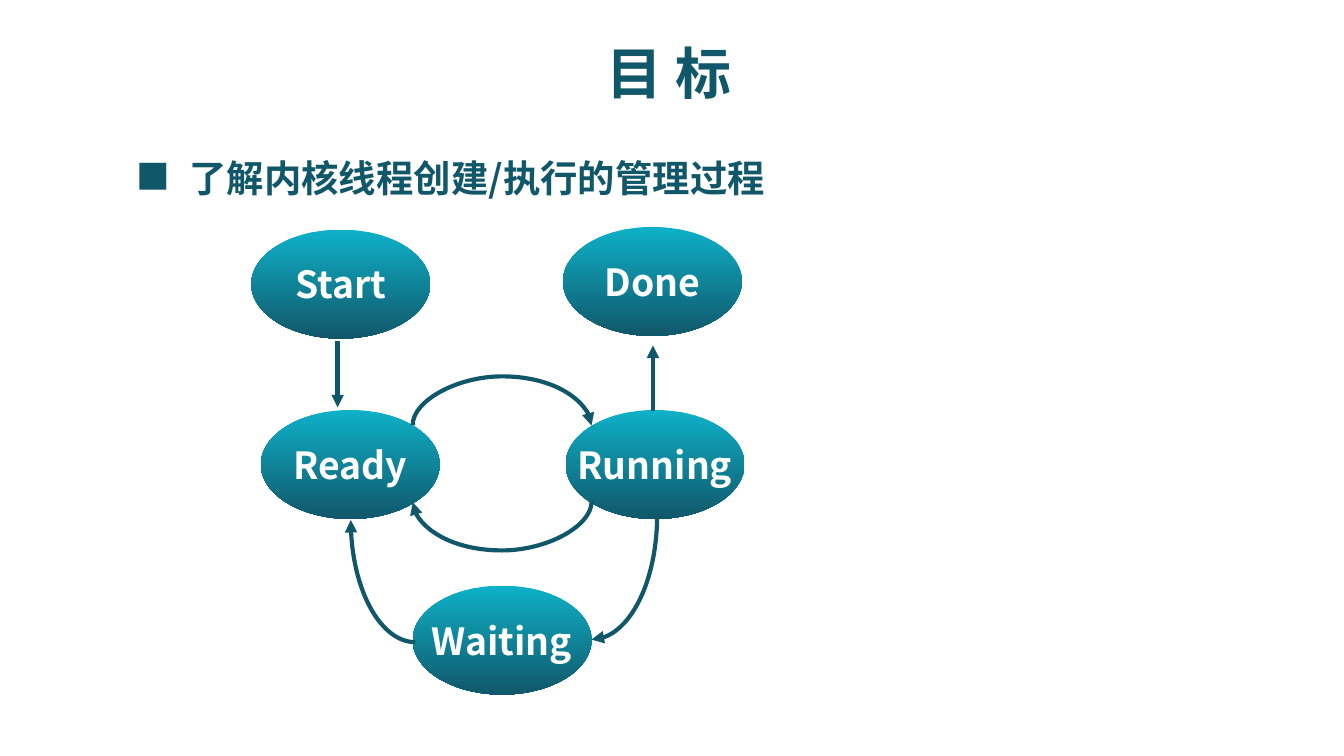
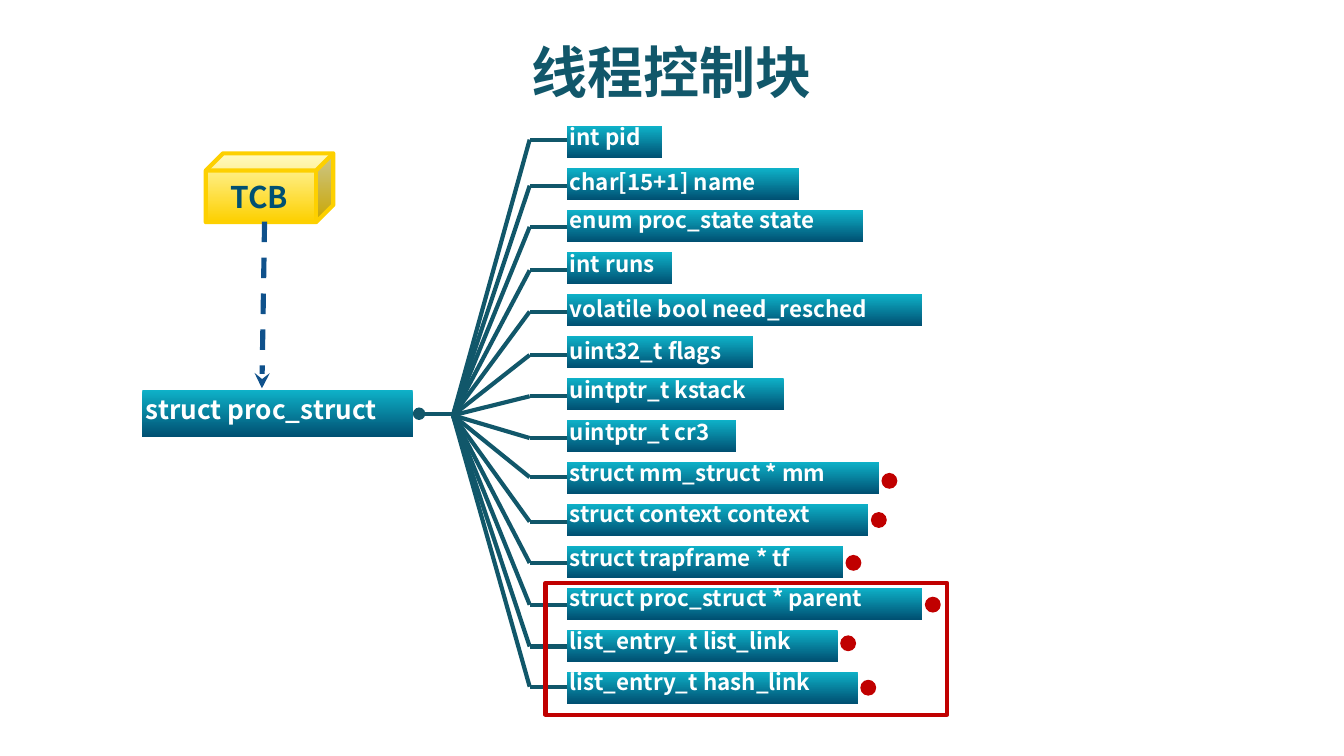
from math import cos, radians, sin

from lxml import etree
from pptx import Presentation
from pptx.dml.color import RGBColor
from pptx.enum.dml import MSO_LINE
from pptx.enum.shapes import MSO_CONNECTOR, MSO_SHAPE
from pptx.enum.text import MSO_ANCHOR, MSO_AUTO_SIZE, PP_ALIGN
from pptx.oxml.ns import qn
from pptx.util import Cm, Pt

STRAIGHT, CURVE = MSO_CONNECTOR.STRAIGHT, MSO_CONNECTOR.CURVE
OVAL, RECT, CUBE = MSO_SHAPE.OVAL, MSO_SHAPE.RECTANGLE, MSO_SHAPE.CUBE
LEFT, CENTER, MIDDLE = PP_ALIGN.LEFT, PP_ALIGN.CENTER, MSO_ANCHOR.MIDDLE
GROW, DASH = MSO_AUTO_SIZE.SHAPE_TO_FIT_TEXT, MSO_LINE.DASH

# Shared look; all lengths are in centimetres
FONT, SYMBOL_FONT = "Noto Sans CJK SC", "Noto Sans CJK JP"
TEAL, WHITE, RED, NAVY, BLUE, GOLD = (
    "11576A", "FFFFFF", "C00000", "005072", "0F518B", "FDD000")
NODE_FILL = ("0EB1C8", TEAL)
BAR_FILL = ("0EB1C8", NAVY)
CUBE_FILL = ("FFF9B1", GOLD)
LINE_PT = 2.25

# Slide 1: thread states
GOAL = "了解内核线程创建/执行的管理过程"
NODE_W, NODE_H = 3.38, 2.06
NODES = [
    ("Running", 10.69, 7.75),
    ("Ready", 4.93, 7.75),
    ("Waiting", 7.8, 11.07),
    ("Start", 4.75, 4.34),
    ("Done", 10.64, 4.29),
]
STATE_ARROWS = [
    ((6.38, 6.45), (6.38, 7.7)),
    ((12.34, 7.77), (12.34, 6.53)),
]
# centre, radii, first angle of each quarter turn
QUARTER_ARROWS = [
    ((11.18, 9.75), (1.24, 2.34), 0),
    ((7.85, 9.83), (1.22, 2.31), 90),
]
# centre x, y of both ends, opens upwards
LOOP_ARROWS = [(9.49, 8.04, True), (9.49, 9.49, False)]
LOOP_SPAN, LOOP_BULGE, LOOP_DEPTH = 3.38, 0.92, 0.01

# Slide 2: label, bar width, label width, label top, rail y, dot top
FIELDS = [
    ("int pid", 1.8, 2.03, 2.21, 2.64, None),
    ("char[15+1] name", 4.39, 4.6, 3.05, 3.51, None),
    ("enum proc_state state", 5.59, 5.79, 3.78, 4.29, None),
    ("int runs", 1.98, 2.34, 4.6, 5.11, None),
    ("volatile bool need_resched", 6.71, 6.81, 5.46, 5.89, None),
    ("uint32_t flags", 3.51, 3.73, 6.25, 6.71, None),
    ("uintptr_t kstack", 4.09, 4.27, 6.99, 7.49, None),
    ("uintptr_t cr3", 3.2, 3.45, 7.77, 8.28, None),
    ("struct mm_struct * mm", 5.89, 5.87, 8.56, 9.02, 8.94),
    ("struct context context", 5.69, 5.77, 9.32, 9.86, 9.68),
    ("struct trapframe * tf", 5.21, 5.28, 10.16, 10.64, 10.49),
    ("struct proc_struct * parent", 6.71, 6.76, 10.92, 11.43, 11.28),
    ("list_entry_t list_link", 5.11, 5.11, 11.73, 12.22, 12.01),
    ("list_entry_t hash_link", 5.49, 5.49, 12.5, 12.98, 12.85),
]
BAR_X, BAR_H, FIRST_BAR, LAST_BAR = 10.72, 0.6, 2.39, 12.7
LABEL_X, LABEL_H = 10.52, 0.79
RAIL_X = 10.01
HUB = (8.56, 7.85)
DOT, DOT_GAP = 0.3, 0.05


def rgb(color):
    return RGBColor.from_string(color)


def write(tf, text, size, color, font=FONT, align=LEFT, spacing=None):
    p = tf.paragraphs[0]
    p.alignment = align
    if spacing:
        p.line_spacing = spacing
    r = p.add_run()
    r.text = text
    for key, value in {"name": font, "size": Pt(size), "bold": True}.items():
        setattr(r.font, key, value)
    r.font.color.rgb = rgb(color)
    etree.SubElement(r._r.get_or_add_rPr(), qn("a:ea"), typeface=font)


def add_text(s, box, text, size, color, wrap=False, **style):
    tf = s.shapes.add_textbox(*map(Cm, box)).text_frame
    tf.word_wrap = wrap
    tf.auto_size = GROW
    write(tf, text, size, color, **style)


def add_title(s, box, text):
    add_text(s, box, text, 30, TEAL, wrap=True, align=CENTER)


def style_line(sp, color=TEAL, width=LINE_PT, head=None, tail=None):
    sp.line.color.rgb = rgb(color)
    sp.line.width = Pt(width)
    ln = sp.line._get_or_add_ln()
    for tag, kind in (("a:headEnd", head), ("a:tailEnd", tail)):
        if kind:
            etree.SubElement(ln, qn(tag), type=kind)


def add_shape(s, kind, box, fill=None, line=None):
    sp = s.shapes.add_shape(kind, *map(Cm, box))
    sp.shadow.inherit = False
    if isinstance(fill, tuple):
        sp.fill.gradient()
        sp.fill.gradient_angle = 270
        for stop, color in zip(sp.fill.gradient_stops, fill):
            stop.color.rgb = rgb(color)
    elif fill:
        sp.fill.solid()
        sp.fill.fore_color.rgb = rgb(fill)
    else:
        sp.fill.background()
    if line:
        style_line(sp, line)
    else:
        sp.line.fill.background()
    return sp


def add_line(s, start, end, kind=STRAIGHT, **style):
    cxn = s.shapes.add_connector(kind, *map(Cm, (*start, *end)))
    style_line(cxn, **style)
    etree.SubElement(cxn._element.spPr, qn("a:effectLst"))
    return cxn


def add_quarter_arrow(s, centre, radii, first):
    angles = [radians(first + 3 * i) for i in range(31)]
    points = [(Cm(centre[0] + radii[0] * cos(a)), Cm(centre[1] + radii[1] * sin(a)))
              for a in angles]
    builder = s.shapes.build_freeform(*points[0])
    builder.add_line_segments(points[1:], close=False)
    sp = builder.convert_to_shape()
    sp.shadow.inherit = False
    sp.fill.background()
    style_line(sp, tail="triangle")


def add_loop_arrow(s, x, y, upwards):
    """Curved connector turned by 90 degrees, bulging above or below its ends."""
    top, bottom = y - LOOP_SPAN / 2, y + LOOP_SPAN / 2
    y1, y2 = (bottom, top) if upwards else (top, bottom)
    cxn = add_line(s, (x - LOOP_DEPTH / 2, y1), (x + LOOP_DEPTH / 2, y2),
                   CURVE, tail="triangle")
    spPr = cxn._element.spPr
    spPr.find(qn("a:xfrm")).set("rot", "5400000")
    geom = spPr.find(qn("a:prstGeom"))
    av = geom.find(qn("a:avLst"))
    if av is None:
        av = etree.SubElement(geom, qn("a:avLst"))
    bulge = round(LOOP_BULGE / LOOP_DEPTH * 100000) * (-1 if upwards else 1)
    etree.SubElement(av, qn("a:gd"), name="adj1", fmla=f"val {bulge}")


def build_states(s):
    add_text(s, (3.33, 2.97, 12.5, 0.94), GOAL, 20, TEAL, wrap=True, spacing=0.8)
    add_text(s, (2.34, 2.82, 1.14, 1.02), "■", 18, TEAL, font=SYMBOL_FONT)
    # States
    for name, x, y in NODES:
        tf = add_shape(s, OVAL, (x, y, NODE_W, NODE_H), NODE_FILL).text_frame
        tf.word_wrap = False
        tf.vertical_anchor = MIDDLE
        write(tf, name, 20, WHITE, align=CENTER)
    # Transitions
    for start, end in STATE_ARROWS:
        add_line(s, start, end, tail="triangle")
    for arrow in QUARTER_ARROWS:
        add_quarter_arrow(s, *arrow)
    for loop in LOOP_ARROWS:
        add_loop_arrow(s, *loop)
    add_title(s, (10.85, 0.61, 3.58, 1.52), "目 标")


def build_control_block(s):
    # Structure and its fields
    step = (LAST_BAR - FIRST_BAR) / (len(FIELDS) - 1)
    for i, (label, bar_w, label_w, label_y, rail_y, dot_y) in enumerate(FIELDS):
        add_shape(s, RECT, (BAR_X, FIRST_BAR + i * step, bar_w, BAR_H), BAR_FILL)
        add_text(s, (LABEL_X, label_y, label_w, LABEL_H), label, 12, WHITE)
        add_line(s, (BAR_X, rail_y), (RAIL_X, rail_y))
        add_line(s, HUB, (RAIL_X, rail_y))
        if dot_y:
            add_shape(s, OVAL, (BAR_X + bar_w + DOT_GAP, dot_y, DOT, DOT), RED)
    add_shape(s, RECT, (2.69, 7.37, 5.11, 0.89), BAR_FILL)
    add_text(s, (2.51, 7.32, 5.41, 0.89), "struct proc_struct", 14, WHITE)
    add_line(s, (7.92, 7.82), (8.58, 7.82), head="oval")
    add_shape(s, RECT, (10.31, 11.02, 7.59, 2.49), line=RED)
    add_title(s, (0, 0.58, 25.4, 1.52), "线程控制块")
    # Thread control block
    add_shape(s, CUBE, (3.89, 2.9, 2.41, 1.3), CUBE_FILL, GOLD)
    add_text(s, (4.11, 3.25, 1.75, 0.94), "TCB", 16, NAVY, wrap=True)
    cxn = add_line(s, (5, 4.19), (4.95, 7.34), color=BLUE, width=2.75, tail="stealth")
    cxn.line.dash_style = DASH


def main():
    prs = Presentation()
    prs.slide_width, prs.slide_height = Cm(25.4), Cm(14.29)
    for build in (build_states, build_control_block):
        build(prs.slides.add_slide(prs.slide_layouts[6]))
    prs.save("out.pptx")


if __name__ == "__main__":
    main()
